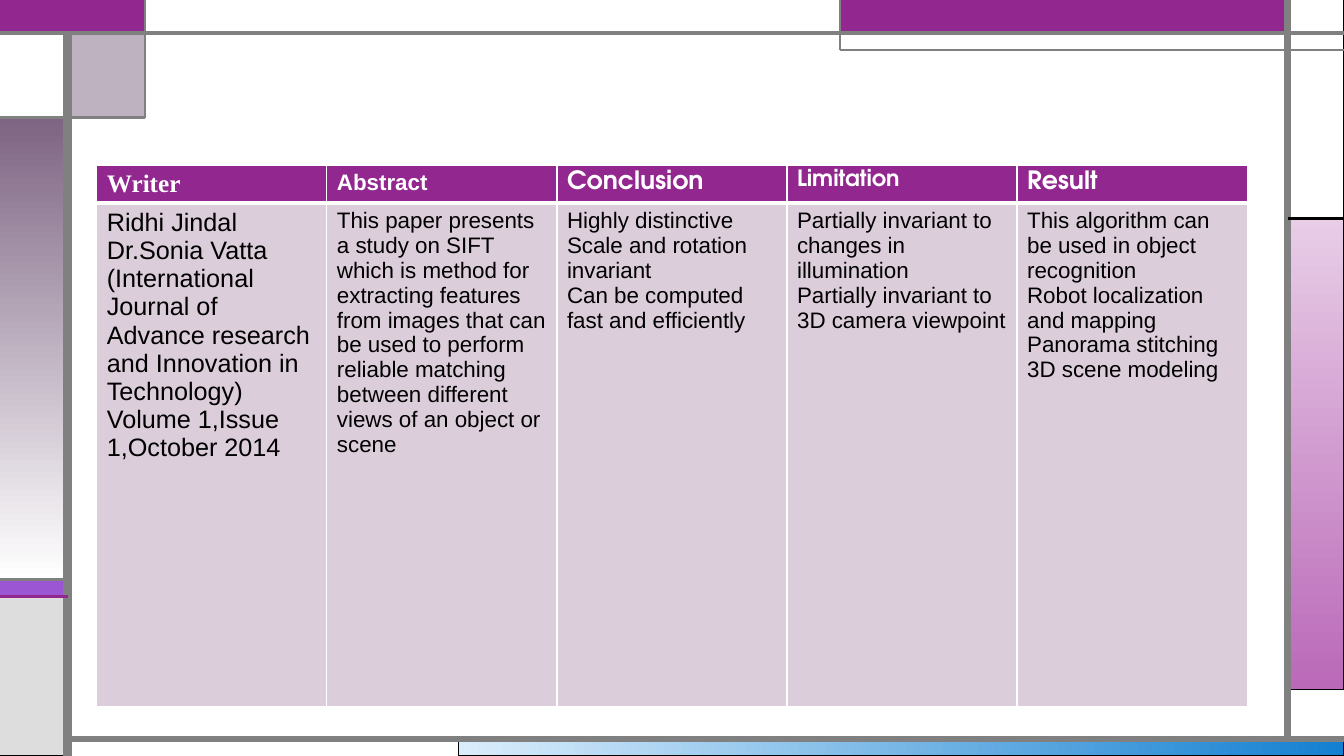
import pptx
import pptx.util
import pptx.dml.color
import pptx.enum.shapes
import pptx.oxml
import pptx.oxml.ns
from lxml import etree

Inches, Pt = pptx.util.Inches, pptx.util.Pt
qn = pptx.oxml.ns.qn

PURPLE, GRAY, WHITE, BLACK = "92278F", "808080", "FFFFFF", "000000"
PAGE = (0, 0, 13.33, 7.5)
# Grid on which panels and rules meet
LEFT, TAB, MID, RIGHT = 0.67, 1.44, 8.33, 12.77
TOP, TOP_LOW, TAB_END, BOTTOM = 0.33, 0.5, 1.17, 7.33
STRIPE, STRIPE_END, SIDE_TOP, SIDE_END = 5.75, 5.92, 2.17, 6.84


def color(value):
    return pptx.dml.color.RGBColor.from_string(value)


def sub(parent, tag, **attrs):
    return etree.SubElement(parent, qn(tag), attrs)


def set_line(shape, value, width):
    shape.line.color.rgb = color(value)
    shape.line.width = Pt(width)


def add_panel(s, box, edges, fill, line=BLACK, width=0.75, angle=0, alpha=None):
    x1, y1, x2, y2 = edges
    sp = s.shapes.add_shape(
        pptx.enum.shapes.MSO_SHAPE.RECTANGLE, Inches(box[0] + x1),
        Inches(box[1] + y1), Inches(x2 - x1), Inches(y2 - y1))
    sp.shadow.inherit = False
    if isinstance(fill, tuple):
        sp.fill.gradient()
        sp.fill.gradient_angle = angle
        for stop, value in zip(sp.fill.gradient_stops, fill):
            stop.color.rgb = color(value)
    else:
        sp.fill.solid()
        sp.fill.fore_color.rgb = color(fill)
    if alpha:
        clr = sp._element.spPr.find(qn("a:solidFill"))[0]
        sub(clr, "a:alpha", val=str(alpha * 1000))
    set_line(sp, line, width)


def draw_panels(s, box):
    w, h = box[2:]
    down = {"angle": 270}
    panels = [
        ((4.55, BOTTOM, w, h), ("DAEDFB", "1480D1"), {}),
        ((RIGHT, SIDE_TOP, w, SIDE_END), ("E8CDE7", "BA69B8"), down),
        ((0, STRIPE, LEFT, STRIPE_END), "9B57D3", {}),
        ((0, STRIPE_END, LEFT, h), "DDDDDD", {}),
        ((RIGHT, 0, w, SIDE_TOP), WHITE, {}),
        ((MID, 0, RIGHT, TOP), PURPLE, {"line": "755DD9"}),
        ((LEFT, TOP, TAB, TAB_END), "7E6583", {"alpha": 50}),
        ((0, TAB_END, LEFT, STRIPE), ("7E6583", WHITE), down),
        ((0, TOP, LEFT, TAB_END), WHITE, {}),
        ((0, 0, TAB, TOP), PURPLE, {"line": PURPLE, "width": 1.5}),
        ((TAB, 0, MID, TOP), WHITE, {"line": GRAY}),
    ]
    for edges, fill, style in panels:
        add_panel(s, box, edges, fill, **style)


def draw_rules(s, box):
    x, y, w, h = box
    rules = [
        ((LEFT, h, LEFT, TOP), GRAY, 6),
        ((LEFT, BOTTOM, w, BOTTOM), GRAY, 4.5),
        ((RIGHT, BOTTOM, RIGHT, 0), GRAY, 4.5),
        ((0, TOP, w, TOP), GRAY, 3),
        ((w, TOP_LOW, MID, TOP_LOW), GRAY, 1.5),
        ((MID, TOP_LOW, MID, 0), GRAY, 1.5),
        ((RIGHT, SIDE_TOP, w, SIDE_TOP), BLACK, 2.25),
        ((TAB, 0, TAB, TAB_END), GRAY, 1.5),
        ((TAB, TAB_END, 0, TAB_END), GRAY, 2.25),
        ((LEFT, STRIPE, 0, STRIPE), GRAY, 2.25),
        ((LEFT, STRIPE_END, 0, STRIPE_END), PURPLE, 2.25),
    ]
    for (x1, y1, x2, y2), value, width in rules:
        rule = s.shapes.add_connector(
            pptx.enum.shapes.MSO_CONNECTOR.STRAIGHT, Inches(x + x1),
            Inches(y + y1), Inches(x + x2), Inches(y + y2))
        set_line(rule, value, width)
        sub(rule._element.spPr, "a:effectLst")


def fill_cell(cell, lines, fill, borders, text_color, **font):
    # Borders come before the fill in the cell properties
    tcPr = cell._tc.get_or_add_tcPr()
    for side, width in zip("LRTB", borders):
        ln = sub(tcPr, "a:ln" + side, w=str(Pt(width)))
        sub(sub(ln, "a:solidFill"), "a:srgbClr", val=WHITE)
    cell.fill.solid()
    cell.fill.fore_color.rgb = color(fill)
    tf = cell.text_frame
    for i, line in enumerate(lines):
        p = tf.add_paragraph() if i else tf.paragraphs[0]
        r = p.add_run()
        r.text = line
        r.font.color.rgb = color(text_color)
        for name, value in font.items():
            setattr(r.font, name, value)


def draw_review(s, box):
    heads = [
        ("Writer", 18, "Times New Roman"),
        ("Abstract", 16, "Arial"),
        ("Conclusion", 18, "TeX Gyre Adventor"),
        ("Limitation", 16, "TeX Gyre Adventor"),
        ("Result", 18, "TeX Gyre Adventor"),
    ]
    bodies = [
        ["Ridhi Jindal", "Dr.Sonia Vatta",
         "(International Journal of Advance research and Innovation in Technology)",
         "Volume 1,Issue", "1,October 2014"],
        ["This paper presents a study on SIFT which is method for extracting "
         "features from images that can be used to perform reliable matching "
         "between different views of an object or scene"],
        ["Highly distinctive", "Scale and rotation invariant",
         "Can be computed fast and efficiently"],
        ["Partially invariant to changes in illumination",
         "Partially invariant to 3D camera viewpoint"],
        ["This algorithm can be used in object recognition",
         "Robot localization and mapping", "Panorama stitching",
         "3D scene modeling"],
    ]
    x, y, w, h = (Inches(v) for v in box)
    table = s.shapes.add_table(2, len(heads), x, y, w, h).table
    table.rows[0].height = Inches(0.37)
    table.rows[1].height = h - Inches(0.37)
    for i, ((head, size, face), body) in enumerate(zip(heads, bodies)):
        fill_cell(table.cell(0, i), [head], PURPLE, (1, 1, 1, 3), WHITE,
                  size=Pt(size), name=face, bold=True)
        fill_cell(table.cell(1, i), body, "DCCDDB", (1, 1, 3, 1), BLACK,
                  size=Pt(16 if i else 18), name="Arial", bold=False)


def main():
    prs = pptx.Presentation()
    prs.slide_width, prs.slide_height = Inches(PAGE[2]), Inches(PAGE[3])
    s = prs.slides.add_slide(prs.slide_layouts[6])
    draw_panels(s, PAGE)
    draw_rules(s, PAGE)
    draw_review(s, (0.96, 1.64, 11.41, 5.36))
    prs.save("out.pptx")


if __name__ == "__main__":
    main()
